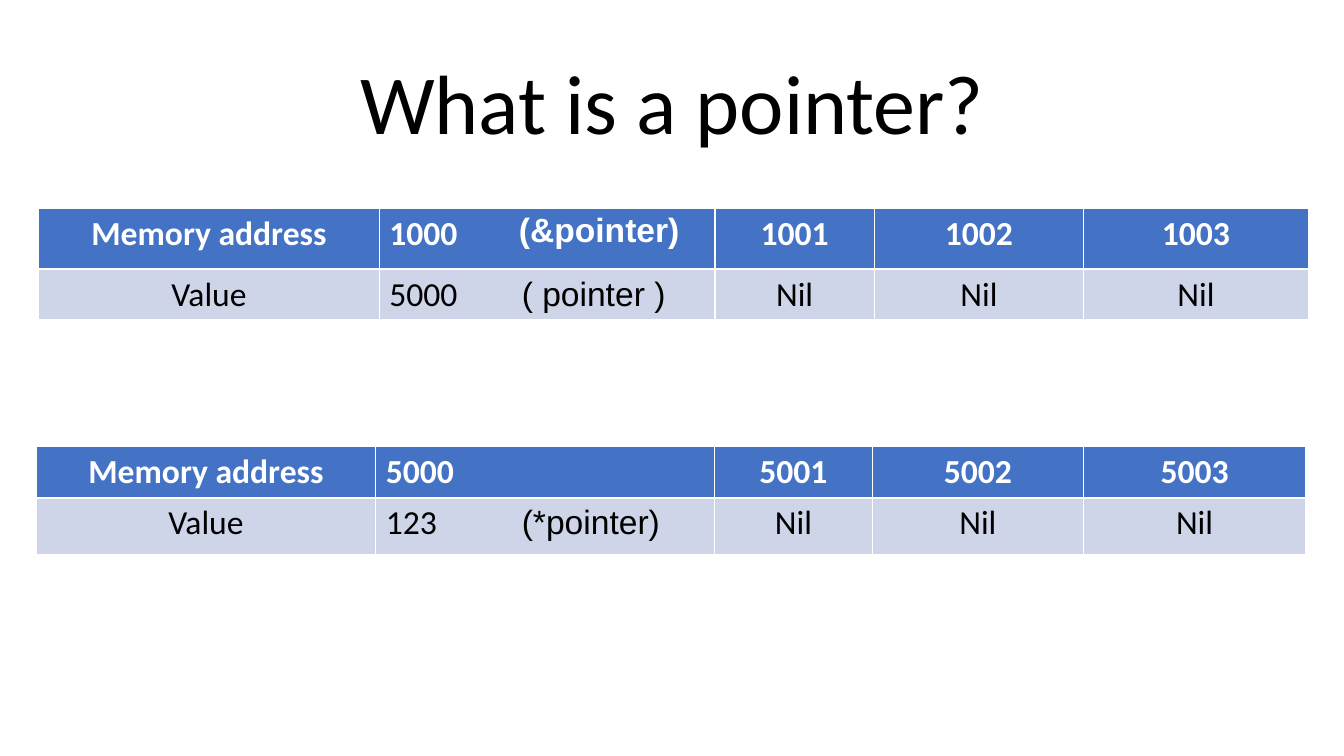
from dataclasses import dataclass

from pptx import Presentation
from pptx.dml.color import RGBColor
from pptx.enum.text import MSO_ANCHOR, PP_ALIGN
from pptx.util import Cm, Pt


@dataclass(frozen=True)
class Theme:
    black: RGBColor = RGBColor(0x00, 0x00, 0x00)
    white: RGBColor = RGBColor(0xFF, 0xFF, 0xFF)
    header_fill: RGBColor = RGBColor(0x44, 0x72, 0xC4)
    value_fill: RGBColor = RGBColor(0xCF, 0xD5, 0xE9)
    title_size: Pt = Pt(60)
    body_size: Pt = Pt(24)
    main_font: str = "Calibri"
    label_font: str = "Arial"


theme = Theme()


def write(frame, text, font_name, size, color, bold=False, align=PP_ALIGN.LEFT):
    para = frame.paragraphs[0]
    para.text = text
    para.alignment = align
    para.font.name = font_name
    para.font.size = size
    para.font.color.rgb = color
    para.font.bold = bold
    return para


def add_text_box(page, left, top, width, height):
    box = page.shapes.add_textbox(Cm(left), Cm(top), Cm(width), Cm(height))
    box.text_frame.word_wrap = True
    return box.text_frame


deck = Presentation()
deck.slide_width = Cm(33.87)
deck.slide_height = Cm(19.05)
page = deck.slides.add_slide(deck.slide_layouts[6])

title_frame = add_text_box(page, 4.24, 1.09, 25.4, 2.87)
title_frame.vertical_anchor = MSO_ANCHOR.BOTTOM
title = write(title_frame, "What is a pointer?", theme.main_font,
              theme.title_size, theme.black, align=PP_ALIGN.CENTER)
title.line_spacing = 0.9

memory_tables = [
    (0.97, 5.26, [8.59, 8.46, 4.01, 5.28, 5.66], [1.52, 1.24], 1000, "5000"),
    (0.91, 11.25, [8.56, 8.53, 3.99, 5.31, 5.61], [1.3, 1.42], 5000, "123"),
]
row_styles = [
    (theme.header_fill, theme.white, True),
    (theme.value_fill, theme.black, False),
]
for left, top, widths, heights, first_address, value in memory_tables:
    table = page.shapes.add_table(2, 5, Cm(left), Cm(top),
                                  Cm(sum(widths)), Cm(sum(heights))).table
    for column, width in zip(table.columns, widths):
        column.width = Cm(width)
    addresses = [str(first_address + offset) for offset in range(4)]
    contents = [["Memory address"] + addresses, ["Value", value] + ["Nil"] * 3]
    for row, height, texts, (fill, color, bold) in zip(
            table.rows, heights, contents, row_styles):
        row.height = Cm(height)
        for index, (cell, text) in enumerate(zip(row.cells, texts)):
            cell.fill.solid()
            cell.fill.fore_color.rgb = fill
            align = PP_ALIGN.LEFT if index == 1 else PP_ALIGN.CENTER
            write(cell.text_frame, text, theme.main_font, theme.body_size,
                  color, bold, align)

pointer_labels = [
    ("(&pointer)", 12.83, 5.13, 4.55, 1.19, theme.white, True),
    ("( pointer )", 12.9, 6.76, 4.17, 1.19, theme.black, False),
    ("(*pointer)", 12.9, 12.5, 4.17, 1.27, theme.black, False),
]
for text, left, top, width, height, color, bold in pointer_labels:
    write(add_text_box(page, left, top, width, height), text,
          theme.label_font, theme.body_size, color, bold)

deck.save("out.pptx")
